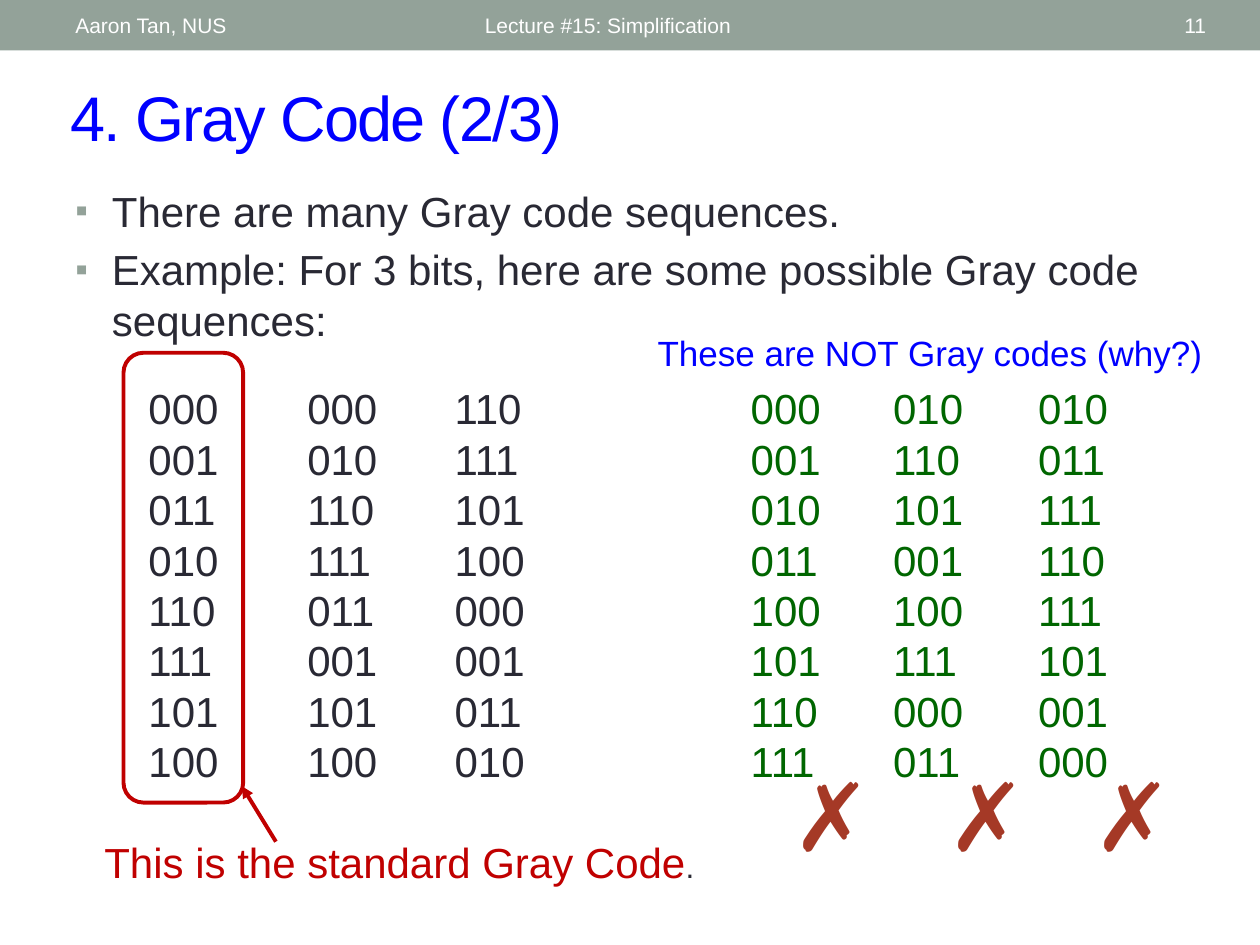
from lxml.etree import SubElement
from pptx import Presentation
from pptx.dml.color import RGBColor
from pptx.enum.shapes import MSO_CONNECTOR, MSO_SHAPE as SHAPE
from pptx.enum.text import MSO_ANCHOR as ANCHOR, PP_ALIGN as ALIGN
from pptx.oxml.ns import qn
from pptx.util import Inches, Pt

FONT = "Arial"
SAGE, INK, BLUE, GREEN = "93A299", "292934", "0000FF", "006600"
RED, RUST, WHITE = "C00000", "A53926", "FFFFFF"

HEADER = [
    ("Aaron Tan, NUS", 0.5, 3.17, ALIGN.LEFT),
    ("Lecture #15: Simplification", 3.75, 4.5, ALIGN.LEFT),
    ("11", 8.72, 0.95, ALIGN.RIGHT),
]
TITLE = "4. Gray Code (2/3)"
BULLETS = [
    "There are many Gray code sequences.",
    "Example: For 3 bits, here are some possible Gray code sequences:",
]
# left edge, colour, codes from top to bottom
SEQUENCES = [
    (1.08, INK, "000 001 011 010 110 111 101 100"),
    (2.34, INK, "000 010 110 111 011 001 101 100"),
    (3.51, INK, "110 111 101 100 000 001 011 010"),
    (5.86, GREEN, "000 001 010 011 100 101 110 111"),
    (6.99, GREEN, "010 110 101 001 100 111 000 011"),
    (8.14, GREEN, "010 011 111 110 111 101 001 000"),
]
CROSS_LEFTS = [6.19, 7.42, 8.58]


def rgb(value):
    return RGBColor.from_string(value)


def add_span(para, text, size, color):
    span = para.add_run()
    span.text = text
    for name, value in {"name": FONT, "size": Pt(size)}.items():
        setattr(span.font, name, value)
    span.font.color.rgb = rgb(color)
    return span


def add_text(page, at, lines, size, color, align=ALIGN.LEFT, anchor=ANCHOR.TOP):
    """Add a wrapping text box with one paragraph per line; return its paragraphs."""
    frame = page.shapes.add_textbox(*map(Inches, at)).text_frame
    frame.word_wrap = True
    frame.vertical_anchor = anchor
    for number, line in enumerate(lines):
        para = frame.add_paragraph() if number else frame.paragraphs[0]
        para.alignment = align
        add_span(para, line, size, color)
    return frame.paragraphs


def add_bullet(para):
    props = para._p.get_or_add_pPr()
    props.set("marL", str(Inches(0.29)))
    props.set("indent", str(-Inches(0.29)))
    color = SubElement(props, qn("a:buClr"))
    SubElement(color, qn("a:srgbClr"), val=SAGE)
    SubElement(props, qn("a:buSzPct"), val="85000")
    SubElement(props, qn("a:buFont"), typeface=FONT)
    SubElement(props, qn("a:buChar"), char="▪")


def outline(line):
    line.color.rgb = rgb(RED)
    line.width = Pt(2.25)


def add_arrow(page, start, end):
    arrow = page.shapes.add_connector(
        MSO_CONNECTOR.STRAIGHT, *map(Inches, start + end))
    outline(arrow.line)
    SubElement(arrow.line._get_or_add_ln(), qn("a:tailEnd"), type="triangle")
    SubElement(arrow._element.spPr, qn("a:effectLst"))


def add_header(page):
    band = page.shapes.add_shape(SHAPE.RECTANGLE, 0, 0, Inches(10), Inches(0.4))
    band.shadow.inherit = False
    band.fill.solid()
    band.fill.fore_color.rgb = rgb(SAGE)
    band.line.fill.background()
    for text, left, width, align in HEADER:
        add_text(page, (left, 0.02, width, 0.36), [text], 12, WHITE,
                 align, ANCHOR.MIDDLE)


def add_heading(page):
    title = add_text(page, (0.46, 0.57, 9.07, 0.7), [TITLE], 36, BLUE,
                     anchor=ANCHOR.MIDDLE)
    title[0].runs[0].font._element.set("spc", "-100")
    bullets = add_text(page, (0.5, 1.42, 9, 1.57), BULLETS, 24, INK)
    for number, para in enumerate(bullets):
        if number:
            para.space_before = Pt(4.8)
        add_bullet(para)


def add_sequences(page):
    for left, color, codes in SEQUENCES:
        add_text(page, (left, 2.99, 0.95, 3.33), codes.split(), 24, color)
    for left in CROSS_LEFTS:
        add_text(page, (left, 5.96, 0.8, 1.01), ["✗"], 54, RUST, ALIGN.CENTER)


def add_remarks(page):
    standard = add_text(page, (0.73, 6.59, 5.03, 0.5),
                        ["This is the standard Gray Code"], 24, RED)
    add_span(standard[0], ".", 18, INK)
    add_arrow(page, (2.19, 6.68), (1.92, 6.24))
    frame = page.shapes.add_shape(
        SHAPE.ROUNDED_RECTANGLE, *map(Inches, (0.98, 2.8, 0.95, 3.57)))
    frame.shadow.inherit = False
    frame.fill.background()
    outline(frame.line)
    add_text(page, (5.12, 2.58, 4.55, 0.44),
             ["These are NOT Gray codes (why?)"], 20, BLUE)


def main():
    deck = Presentation()
    deck.slide_width, deck.slide_height = Inches(10), Inches(7.5)
    page = deck.slides.add_slide(deck.slide_layouts[6])
    add_header(page)
    add_heading(page)
    add_sequences(page)
    add_remarks(page)
    deck.save("out.pptx")


if __name__ == "__main__":
    main()
